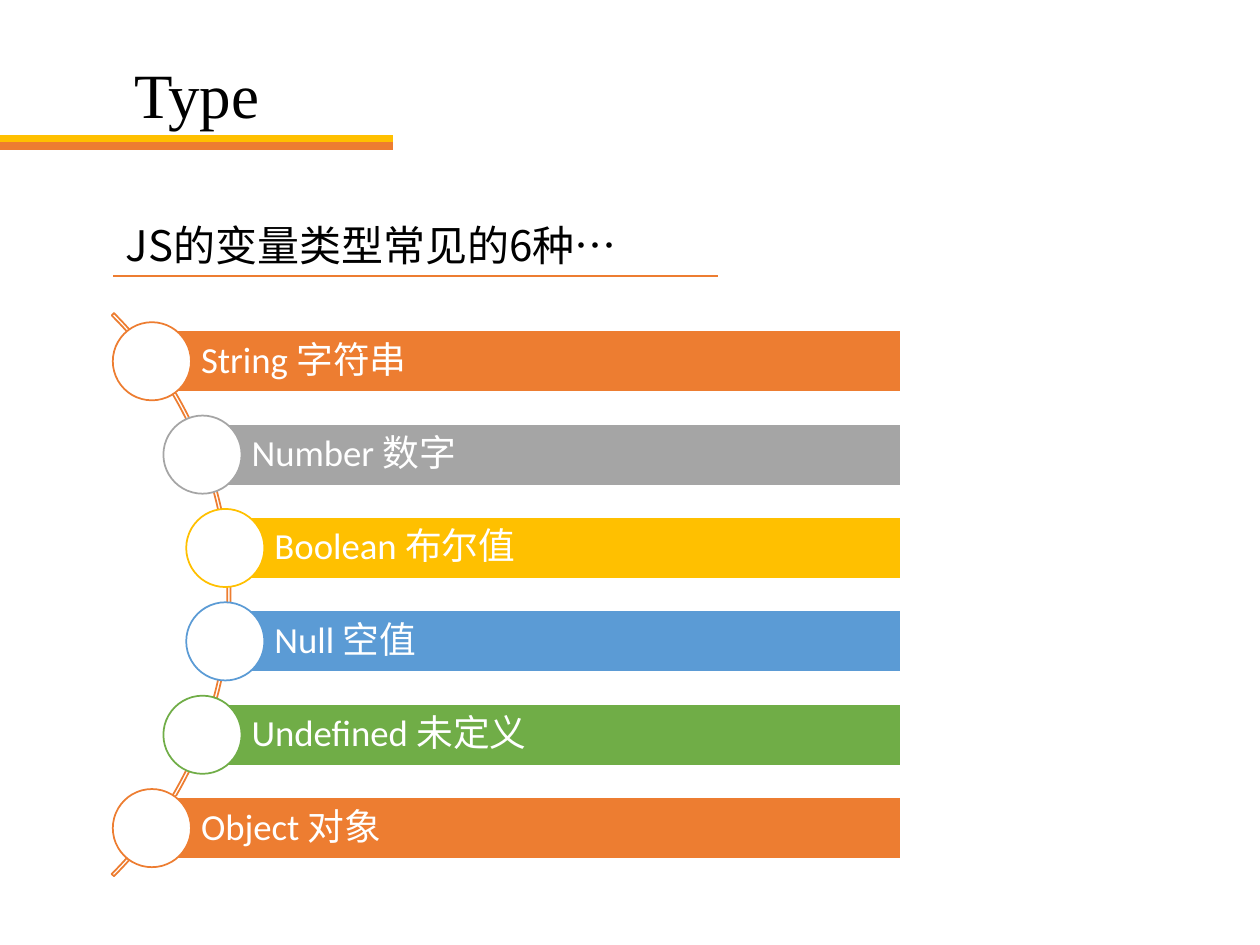
from math import sqrt
from pptx import Presentation
from pptx.dml.color import RGBColor
from pptx.enum.shapes import MSO_CONNECTOR, MSO_SHAPE
from pptx.enum.text import MSO_ANCHOR, PP_ALIGN
from pptx.oxml.ns import qn
from pptx.util import Inches, Pt
from lxml.etree import SubElement

ORANGE, GRAY, GOLD = "ED7D31", "A5A5A5", "FFC000"
BLUE, GREEN, WHITE = "5B9BD5", "70AD47", "FFFFFF"
COLS, ROWS = 100, 75
TYPES = [
    ("String 字符串", ORANGE),
    ("Number 数字", GRAY),
    ("Boolean 布尔值", GOLD),
    ("Null 空值", BLUE),
    ("Undefined 未定义", GREEN),
    ("Object 对象", ORANGE),
]


def tint(code):
    """Turn a hex string into a colour."""
    return RGBColor.from_string(code)


def write(shape, text, font="Calibri", size=21, color=WHITE, align=PP_ALIGN.LEFT,
          anchor=MSO_ANCHOR.MIDDLE, space=0.9, pads=(0.1, 0.05, 0.1, 0.05)):
    """Put one formatted paragraph into a shape."""
    frame = shape.text_frame
    frame.word_wrap = True
    frame.vertical_anchor = anchor
    left, top, right, base = map(Inches, pads)
    frame.margin_left, frame.margin_top = left, top
    frame.margin_right, frame.margin_bottom = right, base
    para = frame.paragraphs[0]
    para.alignment, para.line_spacing = align, space
    run = para.add_run()
    run.text = text
    run.font.name, run.font.size = font, Pt(size)
    run.font.color.rgb = tint(color)
    SubElement(run.font._element, qn("a:ea")).set("typeface", "Noto Sans CJK SC")


class Deck:
    """Hold the style and the current slide, measured in grid cells."""

    def __init__(self):
        """Start a deck with one blank slide."""
        self.file = Presentation()
        self.file.slide_width, self.file.slide_height = Inches(10), Inches(7.5)
        self.slide = self.file.slides.add_slide(self.file.slide_layouts[6])
        self.items = self.slide.shapes

    def span(self, *cells):
        """Turn column and row pairs into lengths."""
        units = (self.file.slide_width / COLS, self.file.slide_height / ROWS)
        return [round(cell * units[i % 2]) for i, cell in enumerate(cells)]

    def line(self, row, start, end, color, width):
        """Draw a level line."""
        rule = self.items.add_connector(
            MSO_CONNECTOR.STRAIGHT, *self.span(start, row, end, row))
        rule.line.color.rgb, rule.line.width = tint(color), Pt(width)
        SubElement(rule._element.spPr, qn("a:effectLst"))

    def text(self, box, words, **style):
        """Add a text box."""
        write(self.items.add_textbox(*self.span(*box)), words, **style)

    def shape(self, kind, box, fill, edge):
        """Add a preset shape with a thin outline."""
        item = self.items.add_shape(kind, *self.span(*box))
        item.shadow.inherit = False
        if fill:
            item.fill.solid()
            item.fill.fore_color.rgb = tint(fill)
        else:
            item.fill.background()
        item.line.color.rgb, item.line.width = tint(edge), Pt(1)
        return item

    def arc(self, box, edge, turns):
        """Add an open block arc."""
        item = self.shape(MSO_SHAPE.BLOCK_ARC, box, None, edge)
        for i, turn in enumerate(turns):
            item.adjustments[i] = turn

    def list(self, rows, hub, mid, reach, step, end):
        """Stack bars whose dots follow a curve."""
        high, dot = 4.9, 6.2
        for i, (words, color) in enumerate(rows):
            drop = (i - (len(rows) - 1) / 2) * step
            x, y = hub + sqrt(reach ** 2 - drop ** 2), mid + drop
            bar = self.shape(MSO_SHAPE.RECTANGLE,
                             (x, y - high / 2, end - x, high), color, WHITE)
            write(bar, words, pads=(0.39, 0.06, 0.06, 0.06))
            self.shape(MSO_SHAPE.OVAL,
                       (x - dot / 2, y - dot / 2, dot, dot), WHITE, color)


def main():
    """Build the slide."""
    deck = Deck()
    for row, color in ((11, GOLD), (11.6, ORANGE)):
        deck.line(row, 0, 31.2, color, 4.5)
    deck.text((0, 4.2, 31.2, 7.1), "Type", font="Times New Roman", size=36,
              color="000000", align=PP_ALIGN.CENTER)
    deck.line(21.9, 9, 57, ORANGE, 1)
    deck.text((9, 16.9, 50.6, 5), "JS的变量类型常见的6种…", font="Noto Sans CJK SC",
              size=24, color="000000", anchor=MSO_ANCHOR.TOP, space=1.0)
    hub, mid, ring = -13.3, 47.2, 31.6
    deck.arc((hub - ring, mid - ring, 2 * ring, 2 * ring), ORANGE, (189, 27, 0.004))
    deck.list(TYPES, hub, mid, reach=31.4, step=7.41, end=71.5)
    deck.file.save("out.pptx")


if __name__ == "__main__":
    main()
